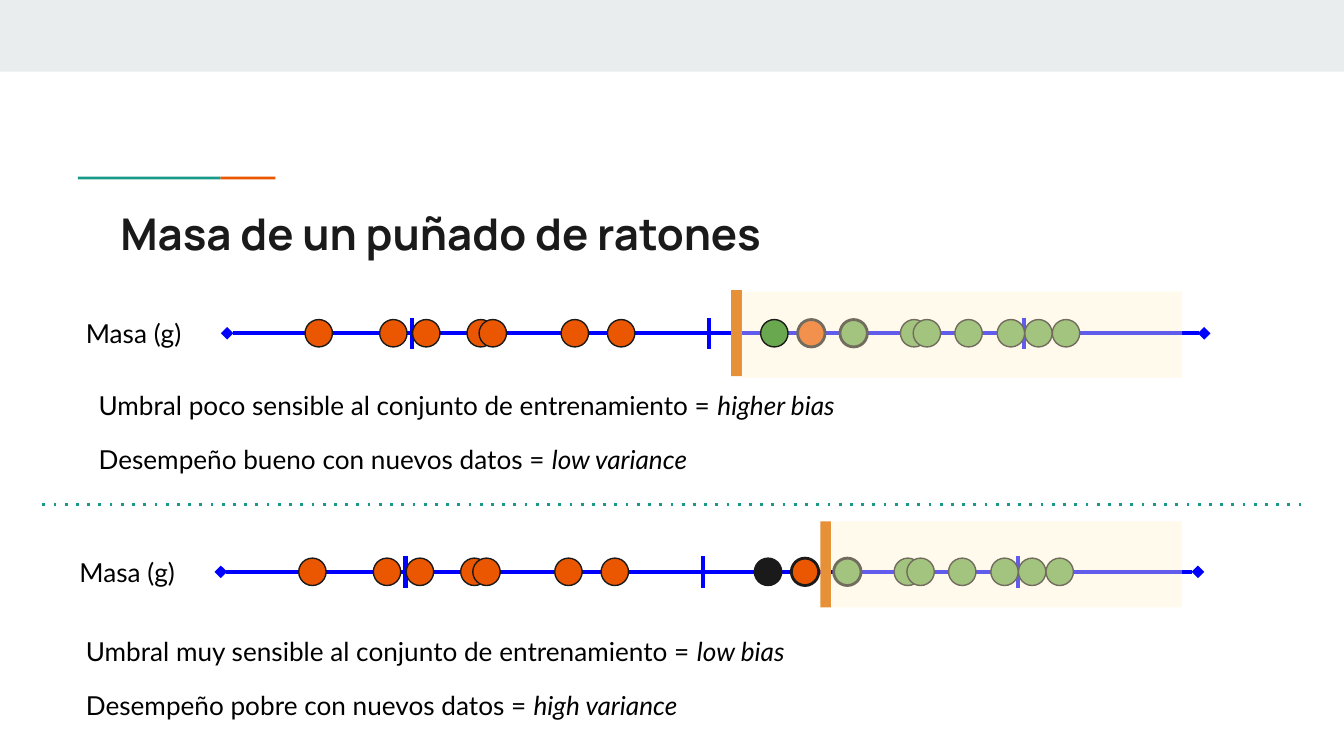
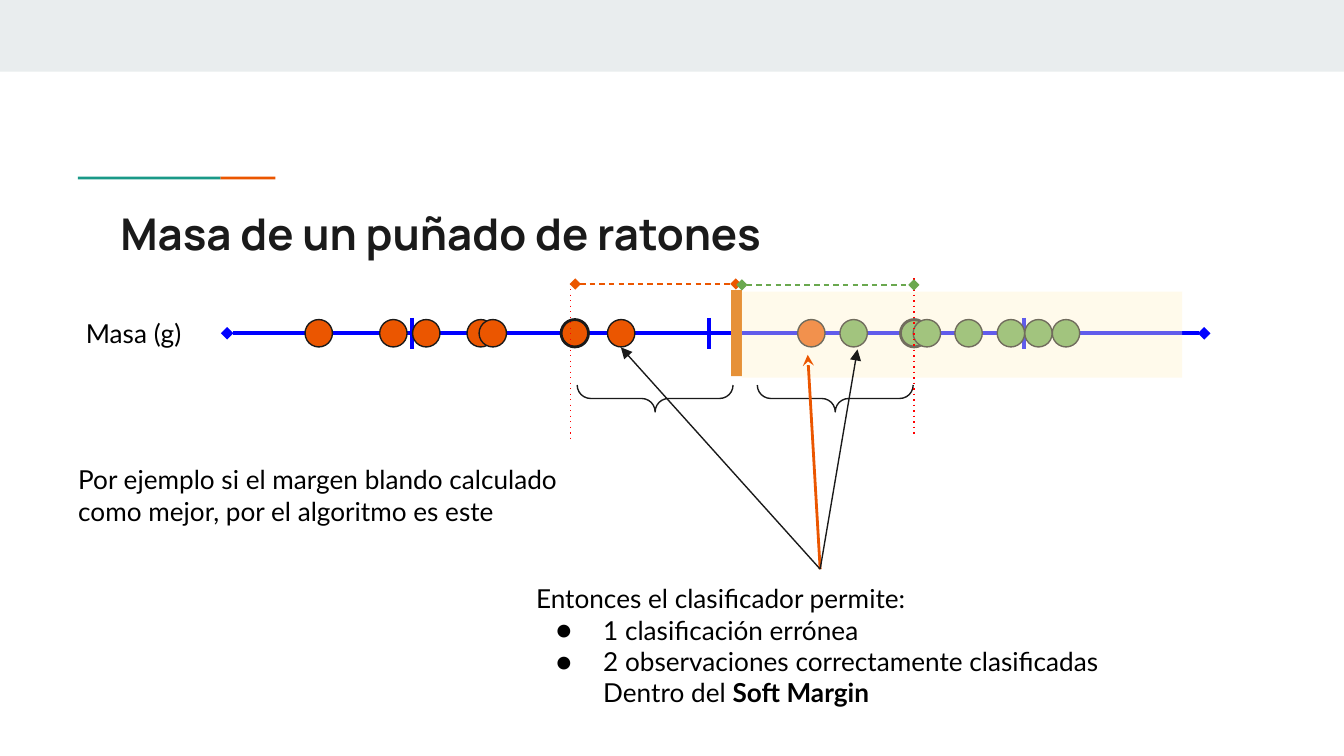
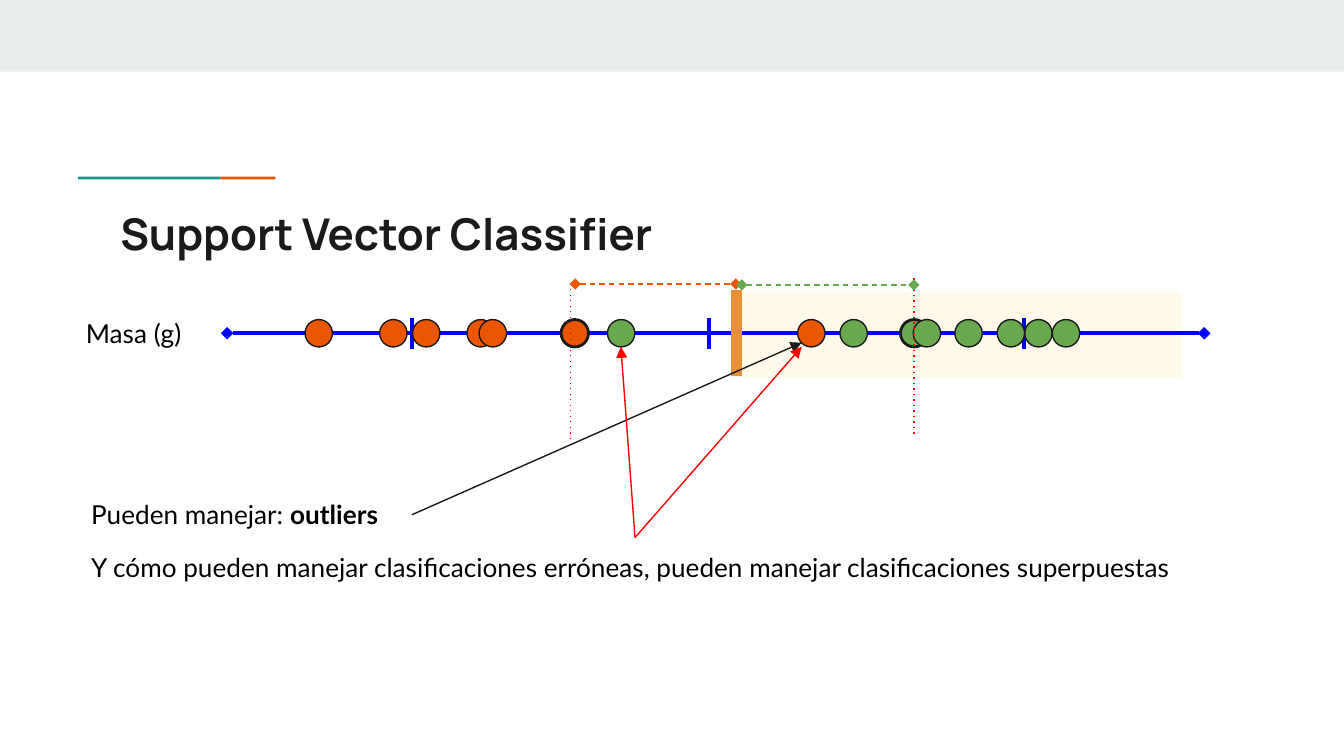
from lxml import etree
from pptx import Presentation
from pptx.dml.color import RGBColor
from pptx.enum.shapes import MSO_CONNECTOR, MSO_SHAPE
from pptx.enum.text import MSO_ANCHOR, MSO_AUTO_SIZE, PP_ALIGN
from pptx.oxml.ns import qn
from pptx.util import Inches, Pt

STRAIGHT = MSO_CONNECTOR.STRAIGHT
RECT, OVAL, BRACE = MSO_SHAPE.RECTANGLE, MSO_SHAPE.OVAL, MSO_SHAPE.LEFT_BRACE
LEFT, MIDDLE = PP_ALIGN.LEFT, MSO_ANCHOR.MIDDLE
GROW = MSO_AUTO_SIZE.SHAPE_TO_FIT_TEXT
TOP_SIDE, RIGHT_SIDE = 0, 3

WIDTH = Inches(10)
HEIGHT = WIDTH * 9 // 16
CELL = WIDTH / 100
INSET = Inches(0.1)

BLACK, INK, WHITE, BAND = "000000", "1A1A1A", "FFFFFF", "E9EDEE"
ORANGE, GREEN, TEAL = "EB5600", "6AA84F", "1A9988"
BLUE, RED, AMBER, CREAM = "0000FF", "FF0000", "E69138", "FFF2CC"

DOT = 2.04
TICKS = [35.85, 59.3, 13.75]
AXIS_LENGTH = 72.7
ZONE_END = 87.95
DOTS = [(x, ORANGE) for x in (5.8, 11.35, 13.8, 17.85, 18.75, 24.85, 28.3)]
DOTS += [(x, GREEN) for x in (45.6, 50.1, 51.05, 54.15, 57.3, 59.35, 61.4)]
DOTS += [(42.45, ORANGE)]
OVERLAP_X, SUPPORT_DOTS, EDGE_DOTS = 28.3, (24.85, 50.1), (42.45, 45.6)
AXIS = (16.9, 24.8)


def rgb(color):
    return RGBColor.from_string(color)


def grid(*cells):
    return [round(c * CELL) for c in cells]


def shape(s, kind, box, fill=None, line=None, width=0.75, alpha=None):
    sp = s.shapes.add_shape(kind, *grid(*box))
    sp.shadow.inherit = False
    if fill:
        sp.fill.solid()
        sp.fill.fore_color.rgb = rgb(fill)
        if alpha:
            color = sp.element.spPr.find(".//" + qn("a:srgbClr"))
            etree.SubElement(color, qn("a:alpha"), val=str(alpha * 1000))
    else:
        sp.fill.background()
    if line:
        sp.line.color.rgb = rgb(line)
        sp.line.width = Pt(width)
    else:
        sp.line.fill.background()
    return sp


def line(s, start, end, color, width=0.75, dash=None, head=None, tail=None):
    c = s.shapes.add_connector(STRAIGHT, *grid(*start, *end))
    c.line.color.rgb = rgb(color)
    c.line.width = Pt(width)
    ln = c.element.spPr.find(qn("a:ln"))
    for tag, attr, value in (("a:prstDash", "val", dash),
                             ("a:headEnd", "type", head),
                             ("a:tailEnd", "type", tail)):
        if value:
            etree.SubElement(ln, qn(tag), {attr: value})
    etree.SubElement(c.element.spPr, qn("a:effectLst"))
    return c


def arrow(s, box, side, end, color, width=0.75, tail="triangle"):
    c = line(s, (0, 0), end, color, width, tail=tail)
    c.begin_connect(box, side)


def add_run(p, text, font="Lato", size=14, color=BLACK, bold=False, italic=False):
    r = p.add_run()
    r.text = text
    r.font.name = font
    r.font.size = Pt(size)
    r.font.color.rgb = rgb(color)
    r.font.bold = bold
    r.font.italic = italic


def frame(tf):
    tf.word_wrap = True
    tf.margin_left = tf.margin_right = tf.margin_top = tf.margin_bottom = INSET


def indent(p, bullet):
    pPr = p._p.get_or_add_pPr()
    pPr.set("marL", str(Inches(0.5)))
    pPr.set("indent", str(Inches(-0.35) if bullet else 0))
    if bullet:
        color = etree.SubElement(pPr, qn("a:buClr"))
        etree.SubElement(color, qn("a:srgbClr"), val=BLACK)
        etree.SubElement(pPr, qn("a:buSzPts"), val="1400")
        etree.SubElement(pPr, qn("a:buFont"), typeface="Lato")
        etree.SubElement(pPr, qn("a:buChar"), char="●")


def text(s, box, content, emphasis="", **style):
    sp = s.shapes.add_textbox(*grid(*box))
    tf = sp.text_frame
    frame(tf)
    tf.auto_size = GROW
    add_run(tf.paragraphs[0], content)
    if emphasis:
        add_run(tf.paragraphs[0], emphasis, **style)
    return sp


def decorate(layout, s):
    for ph in list(layout.placeholders)[1:]:
        layout.shapes.element.remove(ph.element)
    parts = [shape(s, RECT, (0, 0, 100, 5.33), BAND),
             shape(s, RECT, (16.4, 13.15, 4.1, 0.2), ORANGE),
             shape(s, RECT, (5.8, 13.15, 10.6, 0.2), TEAL)]
    for sp in parts:
        layout.shapes.element.append(sp.element)


def title(s, content):
    sp = s.shapes.title
    sp.left, sp.top, sp.width, sp.height = grid(7.95, 14.4, 84.1, 5.9)
    tf = sp.text_frame
    frame(tf)
    tf.vertical_anchor = MIDDLE
    p = tf.paragraphs[0]
    p.alignment = LEFT
    add_run(p, content, font="Manrope", size=23.4, color=INK, bold=True)


def dot(s, x, y, fill, width=0.75):
    shape(s, OVAL, (x, y - DOT / 2, DOT, DOT), fill, INK, width)


def zone(s, x, y):
    shape(s, RECT, (x, y, ZONE_END - x, 6.4), CREAM, alpha=38)


def mass_axis(s, x, y, threshold, top, rings, recolored=()):
    line(s, (x, y), (x + AXIS_LENGTH, y), BLUE, 2.25, head="diamond", tail="diamond")
    text(s, (x - 11.5, y - 2.15, 10.8, 4.4), "Masa (g)")
    for tick in TICKS:
        line(s, (x + tick, y - 1.15), (x + tick, y + 1.2), BLUE, 2.25)
    for offset, color in DOTS:
        fill = GREEN if offset in recolored else color
        dot(s, x + offset, y, fill, 1.5 if offset in rings else 0.75)
    shape(s, RECT, (x + threshold, top, 0.8, 6.4), AMBER)


def margins(s, x, y):
    line(s, (x + 25.55, y - 3.7), (x + 25.55, y + 7.9), RED, dash="dot")
    line(s, (x + 51.1, y - 4.1), (x + 51.1, y + 7.5), RED, dash="dot")
    ends = {"dash": "dash", "head": "diamond", "tail": "diamond"}
    line(s, (x + 25.9, y - 3.67), (x + 37.85, y - 3.67), ORANGE, **ends)
    line(s, (x + 38.3, y - 3.6), (x + 51.1, y - 3.6), GREEN, **ends)


def notes(s, x, y, rows):
    for i, (content, emphasis, width) in enumerate(rows):
        text(s, (x, y + 4 * i, width, 4.4), content, emphasis, italic=True)


def bias_slide(s):
    title(s, "Masa de un puñado de ratones")
    x, y = AXIS
    mass_axis(s, x, y, 37.5, 21.6, EDGE_DOTS)
    zone(s, x + 38.3, 21.7)
    dot(s, x + 39.7, y, GREEN)
    x, y = 16.43, 42.55
    mass_axis(s, x, y, 44.6, 38.8, EDGE_DOTS)
    zone(s, x + 45.5, 38.8)
    dot(s, x + 39.7, y, INK)
    notes(s, 5.4, 46.3, [
        ("Umbral muy sensible al conjunto de entrenamiento = ", "low bias", 54),
        ("Desempeño pobre con nuevos datos = ", "high variance", 54)])
    notes(s, 6.35, 28, [
        ("Umbral poco sensible al conjunto de entrenamiento = ", "higher bias", 59.1),
        ("Desempeño bueno con nuevos datos = ", "low variance", 54)])
    line(s, (3.15, 37.52), (97.1, 37.52), TEAL, 1.5, dash="dot")


def soft_margin_slide(s):
    title(s, "Masa de un puñado de ratones")
    x, y = AXIS
    mass_axis(s, x, y, 37.5, 21.6, SUPPORT_DOTS)
    zone(s, x + 38.3, 21.7)
    text(s, (4.83, 33.5, 37.8, 6.7),
         "Por ejemplo si el margen blando calculado como mejor, por el algoritmo es este")
    for left in (47.75, 61.15):
        sp = shape(s, BRACE, (left, 23.85, 2, 11.6), line=INK)
        sp.rotation = 270
        sp.adjustments[0] = sp.adjustments[1] = 0.5
    margins(s, x, y)
    box = text(s, (38.9, 42.35, 44.25, 11.4), "Entonces el clasificador permite:")
    for content, strong, bullet in (
            ("1 clasificación errónea", "", True),
            ("2 observaciones correctamente clasificadas", "", True),
            ("Dentro del ", "Soft Margin", False)):
        p = box.text_frame.add_paragraph()
        indent(p, bullet)
        add_run(p, content)
        if strong:
            add_run(p, strong, bold=True)
    arrow(s, box, TOP_SIDE, (60.1, 26.4), ORANGE, 1.5, "stealth")
    arrow(s, box, TOP_SIDE, (46.2, 25.85), INK)
    arrow(s, box, TOP_SIDE, (63.8, 26), INK)


def classifier_slide(s):
    x, y = AXIS
    zone(s, x + 38.3, 21.7)
    title(s, "Support Vector Classifier")
    mass_axis(s, x, y, 37.5, 21.6, SUPPORT_DOTS, recolored=(OVERLAP_X,))
    margins(s, x, y)
    outliers = text(s, (5.8, 36.1, 24.85, 4.4), "Pueden manejar: ", "outliers", bold=True)
    arrow(s, outliers, RIGHT_SIDE, (59.65, 25.5), INK)
    overlap = text(s, (5.8, 40, 82.9, 4.4),
                   "Y cómo pueden manejar clasificaciones erróneas, "
                   "pueden manejar clasificaciones superpuestas")
    for end in ((46.2, 25.8), (59.65, 25.8)):
        arrow(s, overlap, TOP_SIDE, end, RED)


def main():
    prs = Presentation()
    prs.slide_width, prs.slide_height = WIDTH, HEIGHT
    layout = prs.slide_layouts[5]
    fill = prs.slide_master.background.fill
    fill.solid()
    fill.fore_color.rgb = rgb(WHITE)
    for i, build in enumerate((bias_slide, soft_margin_slide, classifier_slide)):
        s = prs.slides.add_slide(layout)
        if i == 0:
            decorate(layout, s)
        build(s)
    prs.save("out.pptx")


if __name__ == "__main__":
    main()
